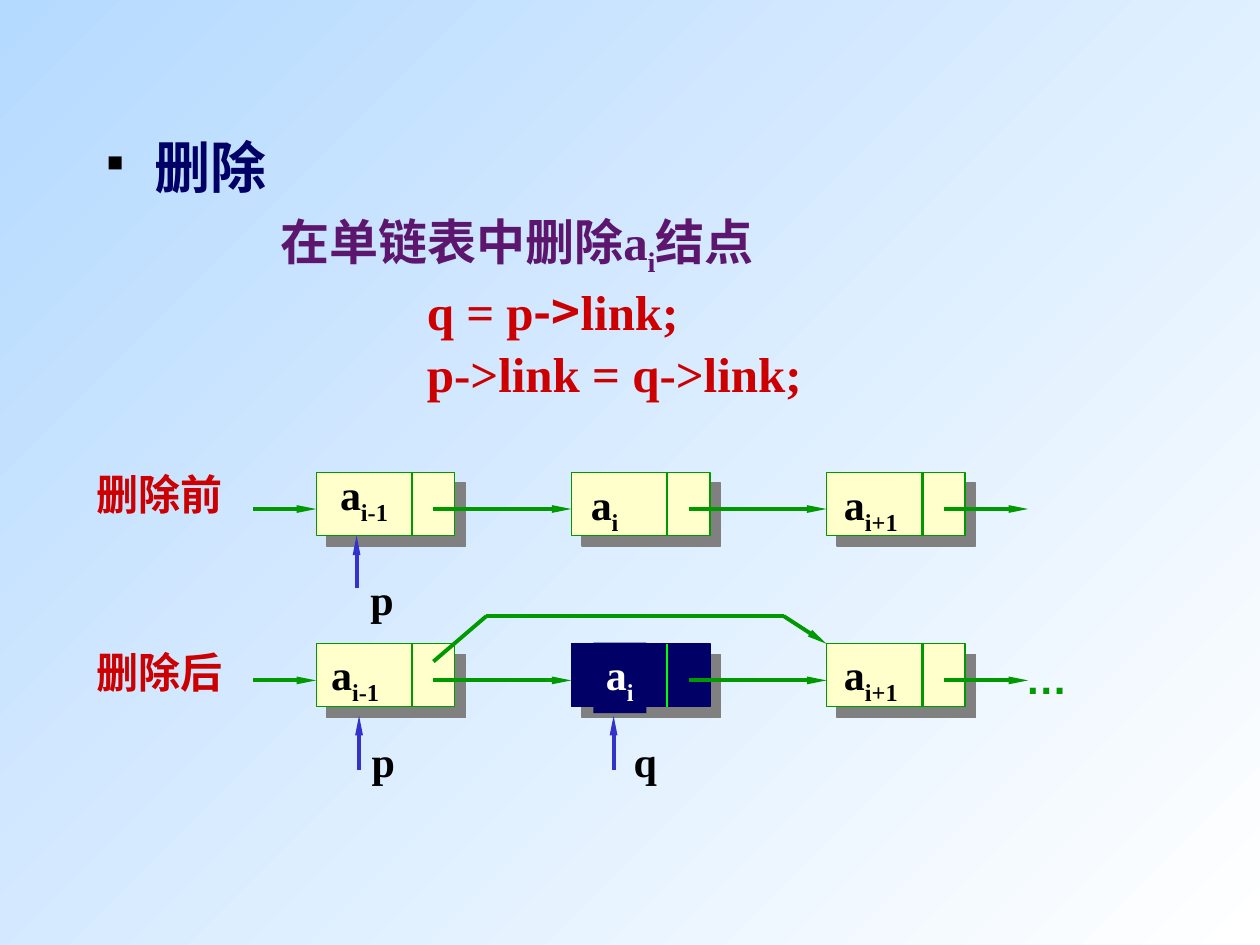
from dataclasses import dataclass

from lxml import etree
from pptx import Presentation
from pptx.dml.color import RGBColor
from pptx.enum.shapes import MSO_CONNECTOR, MSO_SHAPE
from pptx.enum.text import MSO_AUTO_SIZE
from pptx.oxml.ns import qn
from pptx.util import Inches, Pt

STRAIGHT = MSO_CONNECTOR.STRAIGHT
RECTANGLE = MSO_SHAPE.RECTANGLE
FIT_SHAPE = MSO_AUTO_SIZE.SHAPE_TO_FIT_TEXT


@dataclass(frozen=True)
class Theme:
    sky: str = "B5DAFF"
    white: str = "FFFFFF"
    black: str = "000000"
    navy: str = "000066"
    purple: str = "5D166E"
    red: str = "CC0000"
    green: str = "009900"
    lime: str = "00FF00"
    cream: str = "FFFFCC"
    blue: str = "3333CC"
    gray: str = "808080"
    serif: str = "Times New Roman"
    sans: str = "Arial"
    chinese: str = "Noto Sans CJK SC"
    title: int = 32
    body: int = 28
    label: int = 24


THEME = Theme()
NODE_WIDTH, NODE_HEIGHT = 1.1, 0.5
NODE_PITCH = 2.025
DIVIDER, LINK_START, LINK_DROP = 0.76, 0.93, 0.29


def rgb(color):
    return RGBColor.from_string(color)


def add_span(para, text, size=THEME.label, color=THEME.black, font=THEME.serif, subscript=False):
    span = para.add_run()
    span.text = text
    span.font.size = Pt(size)
    span.font.bold = True
    span.font.name = font
    span.font.color.rgb = rgb(color)
    properties = span.font._element
    if any(letter >= "一" for letter in text):
        etree.SubElement(properties, qn("a:ea"), typeface=THEME.chinese)
    if subscript:
        properties.set("baseline", "-25000")


def add_label(page, left, top, width, text, sub="", height=0.5, fill=None, **style):
    box = page.shapes.add_textbox(Inches(left), Inches(top), Inches(width), Inches(height))
    box.text_frame.word_wrap = False
    box.text_frame.auto_size = FIT_SHAPE
    if fill:
        box.fill.solid()
        box.fill.fore_color.rgb = rgb(fill)
    para = box.text_frame.paragraphs[0]
    add_span(para, text, **style)
    if sub:
        add_span(para, sub, subscript=True, **style)


def add_line(page, start, end, color=THEME.green, width=2.25, arrow=False):
    line = page.shapes.add_connector(STRAIGHT, *(Inches(value) for value in (*start, *end)))
    line.line.color.rgb = rgb(color)
    line.line.width = Pt(width)
    if arrow:
        etree.SubElement(line.line._get_or_add_ln(), qn("a:tailEnd"),
                         type="triangle", w="sm", len="lg")
    etree.SubElement(line._element.spPr, qn("a:effectLst"))


def add_node(page, left, top, fill=THEME.cream, edge=THEME.green, divider=THEME.green):
    node = page.shapes.add_shape(
        RECTANGLE, Inches(left), Inches(top), Inches(NODE_WIDTH), Inches(NODE_HEIGHT))
    node.fill.solid()
    node.fill.fore_color.rgb = rgb(fill)
    node.line.color.rgb = rgb(edge)
    node.line.width = Pt(0.75)
    # Hard offset shadow
    node.shadow.inherit = False
    effects = node._element.spPr.find(qn("a:effectLst"))
    shadow = etree.SubElement(effects, qn("a:outerShdw"), dist=str(Pt(8.5)),
                              dir="2700000", algn="ctr", rotWithShape="0")
    etree.SubElement(shadow, qn("a:srgbClr"), val=THEME.gray)
    x = left + DIVIDER
    add_line(page, (x, top), (x, top + NODE_HEIGHT), divider, 1.5)


def add_list_row(page, left, top, removed=None):
    """Three linked nodes; the one with index removed is dark."""
    y = top + LINK_DROP
    add_line(page, (left - 0.5, y), (left, y), arrow=True)
    for index in range(3):
        x = left + index * NODE_PITCH
        if index == removed:
            add_node(page, x, top, THEME.navy, THEME.navy, THEME.lime)
        else:
            add_node(page, x, top)
        end = x + NODE_PITCH if index < 2 else x + 1.6
        add_line(page, (x + LINK_START, y), (end, y), arrow=True)


def add_pointer(page, x, bottom, top, name, name_left, name_top):
    add_line(page, (x, bottom), (x, top), THEME.blue, arrow=True)
    add_label(page, name_left, name_top, 0.38, name)


def set_bullet(para):
    properties = para._p.get_or_add_pPr()
    color = etree.SubElement(properties, qn("a:buClr"))
    etree.SubElement(color, qn("a:srgbClr"), val=THEME.black)
    etree.SubElement(properties, qn("a:buSzPct"), val="40000")
    etree.SubElement(properties, qn("a:buChar"), char="■")
    properties.set("indent", str(-Inches(0.38)))


def add_explanation(page, left, top, width, height):
    box = page.shapes.add_textbox(Inches(left), Inches(top), Inches(width), Inches(height))
    frame = box.text_frame
    frame.word_wrap = True
    body = {"size": THEME.body, "color": THEME.purple}
    code = {"size": THEME.body, "color": THEME.red}
    # Each line: left margin, space before, line spacing, spans
    lines = [
        (0.38, 0, 1, [("删除", {"size": THEME.title, "color": THEME.navy})]),
        (1.38, 7, 1, [("在单链表中删除a", body), ("i", {**body, "subscript": True}),
                      ("结点", body)]),
        (2.54, 0, 1.05, [("q = p", code), ("->", {**code, "font": THEME.chinese}),
                         ("link;", code)]),
        (2.54, 0, 1.05, [("p->link = q->link;", code)]),
    ]
    for index, (margin, before, spacing, spans) in enumerate(lines):
        para = frame.add_paragraph() if index else frame.paragraphs[0]
        para._p.get_or_add_pPr().set("marL", str(Inches(margin)))
        if index == 0:
            set_bullet(para)
        para.line_spacing = spacing
        if before:
            para.space_before = Pt(before)
        for text, style in spans:
            add_span(para, text, **style)


def add_before(page, left, top):
    add_label(page, 0.67, top - 0.08, 1.2, "删除前", color=THEME.red)
    add_list_row(page, left, top)
    add_label(page, left + 0.09, top - 0.08, 0.58, "a", "i-1", height=0.56)
    add_label(page, left + 2.08, top, 0.42, "a", "i", height=0.56)
    add_label(page, left + 4.09, top, 0.66, "a", "i+1", height=0.56)
    add_pointer(page, left + 0.32, top + 0.92, top + 0.5, "p", left + 0.33, top + 0.75)


def add_after(page, left, top):
    add_label(page, 0.67, top - 0.03, 1.2, "删除后", color=THEME.red)
    add_list_row(page, left, top, removed=1)
    add_label(page, left + 5.53, top + 0.02, 0.53, "…", color=THEME.green, font=THEME.sans)
    add_label(page, left + 0.02, top - 0.01, 0.58, "a", "i-1", height=0.56)
    add_label(page, left + 2.2, top - 0.01, 0.42, "a", "i", height=0.56,
              fill=THEME.navy, color=THEME.white)
    add_label(page, left + 4.09, top - 0.01, 0.66, "a", "i+1", height=0.56)
    for x, name, name_left in ((0.34, "p", 0.34), (2.36, "q", 2.42)):
        add_pointer(page, left + x, top + 1, top + 0.57, name, left + name_left, top + 0.68)
    # Bypass link over the removed node
    route = [(left + LINK_START, top + 0.14), (left + 1.35, top - 0.22),
             (left + 3.71, top - 0.22), (left + 2 * NODE_PITCH, top)]
    for start, end in zip(route, route[1:]):
        add_line(page, start, end, arrow=end == route[-1])


def main():
    deck = Presentation()
    deck.slide_width, deck.slide_height = Inches(10), Inches(7.5)
    page = deck.slides.add_slide(deck.slide_layouts[6])

    # Diagonal background
    background = page.background.fill
    background.gradient()
    background.gradient_angle = 315
    for stop, color in zip(background.gradient_stops, (THEME.sky, THEME.white)):
        stop.color.rgb = rgb(color)

    add_explanation(page, 0.75, 1, 8.5, 2.4)
    add_before(page, 2.51, 3.75)
    add_after(page, 2.51, 5.11)
    deck.save("out.pptx")


if __name__ == "__main__":
    main()
